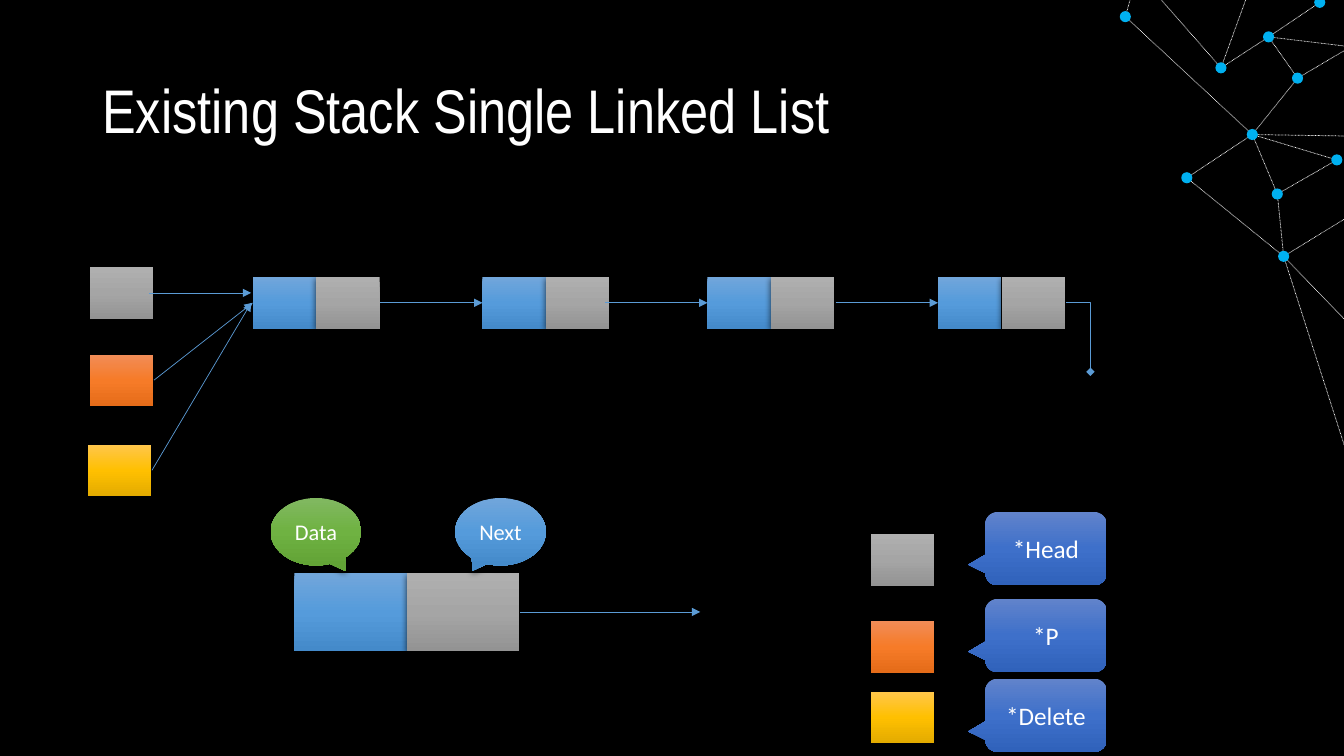
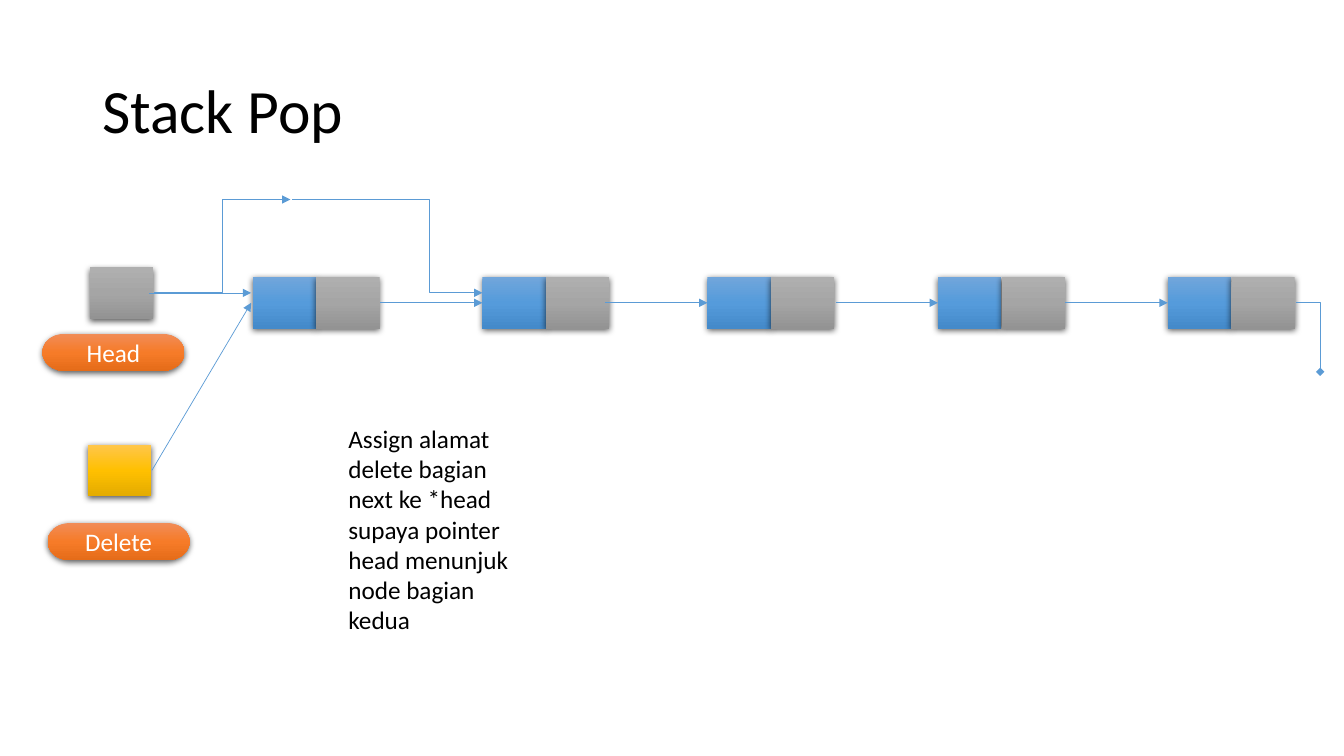
"""Build two slides on popping a node from a linked-list stack."""
from copy import deepcopy

from lxml import etree
from pptx import Presentation
from pptx.dml.color import RGBColor
from pptx.enum.dml import MSO_LINE
from pptx.enum.shapes import MSO_CONNECTOR, MSO_SHAPE
from pptx.enum.text import MSO_ANCHOR, PP_ALIGN
from pptx.oxml import parse_xml
from pptx.oxml.ns import nsdecls, qn
from pptx.util import Cm, Pt

STRAIGHT, ELBOW = MSO_CONNECTOR.STRAIGHT, MSO_CONNECTOR.ELBOW
RECTANGLE, OVAL = MSO_SHAPE.RECTANGLE, MSO_SHAPE.OVAL
TERMINATOR = MSO_SHAPE.FLOWCHART_TERMINATOR
ROUND_CALLOUT = MSO_SHAPE.ROUNDED_RECTANGULAR_CALLOUT
OVAL_CALLOUT = MSO_SHAPE.OVAL_CALLOUT
DOTTED = MSO_LINE.ROUND_DOT
TOP, MIDDLE = MSO_ANCHOR.TOP, MSO_ANCHOR.MIDDLE
LEFT, CENTER = PP_ALIGN.LEFT, PP_ALIGN.CENTER

BLACK = RGBColor(0x00, 0x00, 0x00)
WHITE = RGBColor(0xFF, 0xFF, 0xFF)
ARROW_BLUE = RGBColor(0x5B, 0x9B, 0xD5)
DOT_BLUE = RGBColor(0x00, 0xB0, 0xF0)
BLUE = RGBColor(0x71, 0xA6, 0xDB), RGBColor(0x55, 0x9B, 0xDB), RGBColor(0x44, 0x8A, 0xCA)
GRAY = RGBColor(0xAF, 0xAF, 0xAF), RGBColor(0xA5, 0xA5, 0xA5), RGBColor(0x93, 0x93, 0x93)
ORANGE = RGBColor(0xF1, 0x8C, 0x57), RGBColor(0xF6, 0x7B, 0x28), RGBColor(0xE5, 0x6C, 0x19)
YELLOW = RGBColor(0xFF, 0xC6, 0x4B), RGBColor(0xFF, 0xC0, 0x00), RGBColor(0xE3, 0xAB, 0x00)
GREEN = RGBColor(0x81, 0xB8, 0x61), RGBColor(0x6F, 0xB2, 0x42), RGBColor(0x62, 0xA3, 0x36)
INDIGO = RGBColor(0x61, 0x83, 0xCB), RGBColor(0x3E, 0x70, 0xCA), RGBColor(0x30, 0x62, 0xBB)

LABEL = {
    "font": {"name": "Calibri", "size": Pt(18)},
    "paragraph": {"alignment": CENTER},
    "frame": {"word_wrap": True, "vertical_anchor": MIDDLE},
}
SMALL_LABEL = LABEL | {"font": {"name": "Calibri", "size": Pt(16)}}
NOTE = LABEL | {
    "paragraph": {"alignment": LEFT},
    "frame": {"word_wrap": True, "vertical_anchor": TOP},
}
TITLE = LABEL | {
    "font": {"size": Pt(44)},
    "paragraph": {"alignment": LEFT, "line_spacing": 0.9},
}
SHADOW = (
    f'<a:outerShdw {nsdecls("a")} blurRad="57150" dist="19050" dir="5400000" '
    'algn="ctr" rotWithShape="0"><a:srgbClr val="000000">'
    '<a:alpha val="63000"/></a:srgbClr></a:outerShdw>'
)

CELL_WIDTH, CELL_HEIGHT = 1.6, 1.3
NODE_TOP, ARROW_Y, HEAD_Y = 6.98, 7.63, 7.38
NODE_LEFTS = [6.37, 12.16, 17.83, 23.64, 29.43]


def add_block(slide, box, gradient=None, kind=RECTANGLE, text="", style=LABEL,
              color=WHITE, adjustments=()):
    """Add a shaded block, or a plain text box if there is no gradient."""
    left, top, width, height = map(Cm, box)
    if gradient:
        shape = slide.shapes.add_shape(kind, left, top, width, height)
        shape.fill.gradient()
        shape.fill.gradient_angle = 270
        properties = shape._element.spPr
        stop_list = properties.find(".//" + qn("a:gsLst"))
        stop_list.insert(1, deepcopy(stop_list[0]))
        for stop, position, stop_color in zip(shape.fill.gradient_stops, (0, 0.5, 1), gradient):
            stop.position = position
            stop.color.rgb = stop_color
        shape.line.fill.background()
        shape.shadow.inherit = False
        properties.find(qn("a:effectLst")).append(parse_xml(SHADOW))
        for index, value in enumerate(adjustments):
            shape.adjustments[index] = value
    else:
        shape = slide.shapes.add_textbox(left, top, width, height)
    if text:
        frame = shape.text_frame
        paragraph = frame.paragraphs[0]
        run = paragraph.add_run()
        run.text = text
        run.font.color.rgb = color
        for target, part in ((run.font, "font"), (paragraph, "paragraph"), (frame, "frame")):
            for name, value in style[part].items():
                setattr(target, name, value)


def add_line(slide, start, end, kind=STRAIGHT, color=ARROW_BLUE, tip="triangle",
             dash=None, preset=None, bend=None):
    """Add a thin connector with an optional tip, dash, preset and bend."""
    connector = slide.shapes.add_connector(kind, *map(Cm, start + end))
    connector.line.color.rgb = color
    connector.line.width = Pt(0.5)
    if dash:
        connector.line.dash_style = dash
    properties = connector._element.spPr
    if tip:
        etree.SubElement(properties.find(qn("a:ln")), qn("a:tailEnd"), type=tip)
    geometry = properties.find(qn("a:prstGeom"))
    if preset:
        geometry.set("prst", preset)
    if bend:
        guides = geometry.find(qn("a:avLst"))
        etree.SubElement(guides, qn("a:gd"), name="adj1", fmla=f"val {bend}")
    etree.SubElement(properties, qn("a:effectLst"))


presentation = Presentation()
presentation.slide_width = Cm(33.87)
presentation.slide_height = Cm(19.05)

slides = []
for title, title_font, background, title_color, node_count in (
    ("Existing Stack Single Linked List", "Arial Narrow", BLACK, WHITE, 4),
    ("Stack Pop", "Calibri", WHITE, BLACK, 5),
):
    slide = presentation.slides.add_slide(presentation.slide_layouts[6])
    slides.append(slide)
    slide.background.fill.solid()
    slide.background.fill.fore_color.rgb = background
    title_style = TITLE | {"font": TITLE["font"] | {"name": title_font}}
    add_block(slide, (2.33, 1.02, 29.21, 3.68), text=title, style=title_style, color=title_color)

    node_lefts = NODE_LEFTS[:node_count]
    for left in node_lefts:
        for column, gradient in enumerate((BLUE, GRAY)):
            cell_left = left + column * CELL_WIDTH
            add_block(slide, (cell_left, NODE_TOP, CELL_WIDTH, CELL_HEIGHT), gradient)
    for left in node_lefts[1:]:
        add_line(slide, (left - 2.58, ARROW_Y), (left, ARROW_Y))
    last_left = node_lefts[-1]
    add_line(slide, (last_left + 3.22, ARROW_Y), (last_left + 3.84, 9.37),
             kind=ELBOW, tip="diamond", preset="bentConnector2")

    for left, top, gradient in ((2.26, 6.74, GRAY), (2.21, 11.21, YELLOW)):
        add_block(slide, (left, top, CELL_WIDTH, CELL_HEIGHT), gradient)
    add_line(slide, (3.76, HEAD_Y), (6.33, HEAD_Y))
    add_line(slide, (3.83, 11.85), (6.33, ARROW_Y))

stack_slide, pop_slide = slides

add_block(stack_slide, (2.26, 8.94, CELL_WIDTH, CELL_HEIGHT), ORANGE)
add_line(stack_slide, (3.88, 9.58), (6.37, ARROW_Y))

for text, gradient, cell_top, callout_top in (
    ("*Head", GRAY, 13.46, 12.9),
    ("*P", ORANGE, 15.65, 15.09),
    ("*Delete", YELLOW, 17.43, 17.1),
):
    add_block(stack_slide, (21.94, cell_top, CELL_WIDTH, CELL_HEIGHT), gradient)
    add_block(stack_slide, (24.83, callout_top, 3.06, 1.85), INDIGO, ROUND_CALLOUT, text,
              adjustments=(-0.64, 0.22, 0.17))

for text, cell_left, cell_gradient, callout_left, callout_gradient, pointer_x in (
    ("Data", 7.42, BLUE, 6.82, GREEN, 0.32),
    ("Next", 10.25, GRAY, 11.47, BLUE, -0.31),
):
    add_block(stack_slide, (cell_left, 14.45, 2.84, 1.96), cell_gradient)
    add_block(stack_slide, (callout_left, 12.55, 2.29, 1.7), callout_gradient, OVAL_CALLOUT,
              text, SMALL_LABEL, adjustments=(pointer_x, 0.58))
add_line(stack_slide, (13.11, 15.42), (17.65, 15.42))

DOT_SIZE = 0.28
DOTS = {
    "A": (28.36, 0.42), "B": (30.77, 1.71), "C": (31.97, 0.93), "D": (33.26, 0.06),
    "E": (32.7, 1.97), "F": (31.56, 3.39), "G": (29.91, 4.48), "H": (32.19, 4.89),
    "I": (33.69, 4.03), "J": (32.35, 6.46),
}
LINKS = "AF", "FE", "CB", "DC", "CE", "GF", "GJ", "JH", "HF", "HI", "IF"
EDGE_RAYS = (
    ("B", (31.78, -1.07)), ("B", (28.6, -0.76)), ("A", (28.7, -0.79)),
    ("E", (34.14, 1.12)), ("C", (34.14, 1.19)), ("F", (34.09, 3.43)),
    ("J", (34.14, 5.36)), ("J", (34.06, 8.23)), ("J", (34.14, 12.04)),
)
network_lines = [(DOTS[start], DOTS[end]) for start, end in LINKS]
network_lines += [(DOTS[start], end) for start, end in EDGE_RAYS]
for start, end in network_lines:
    add_line(stack_slide, start, end, color=WHITE, tip=None, dash=DOTTED)
for x, y in DOTS.values():
    dot = stack_slide.shapes.add_shape(
        OVAL, Cm(x - DOT_SIZE / 2), Cm(y - DOT_SIZE / 2), Cm(DOT_SIZE), Cm(DOT_SIZE))
    dot.fill.solid()
    dot.fill.fore_color.rgb = DOT_BLUE
    dot.line.fill.background()
    dot.shadow.inherit = False

add_line(pop_slide, (3.89, HEAD_Y), (7.32, 5.03), kind=ELBOW)
add_line(pop_slide, (7.37, 5.03), (12.16, HEAD_Y), kind=ELBOW, bend=72000)
for text, left, top in (("Delete", 1.2, 13.18), ("Head", 1.07, 8.41)):
    add_block(pop_slide, (left, top, 3.58, 0.94), ORANGE, TERMINATOR, text)
add_block(
    pop_slide, (8.53, 10.54, 5, 5.64), style=NOTE, color=BLACK,
    text="Assign alamat delete bagian next ke *head supaya pointer head menunjuk node bagian kedua")

presentation.save("out.pptx")
